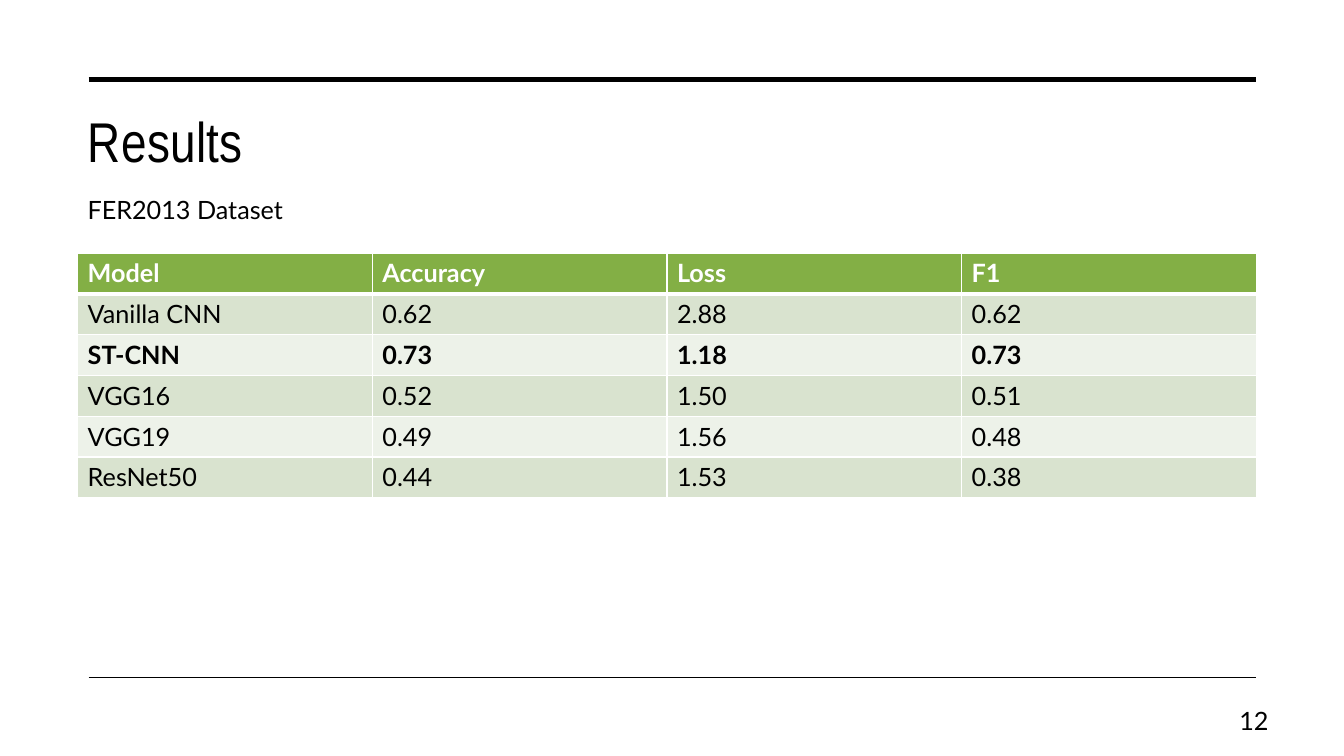
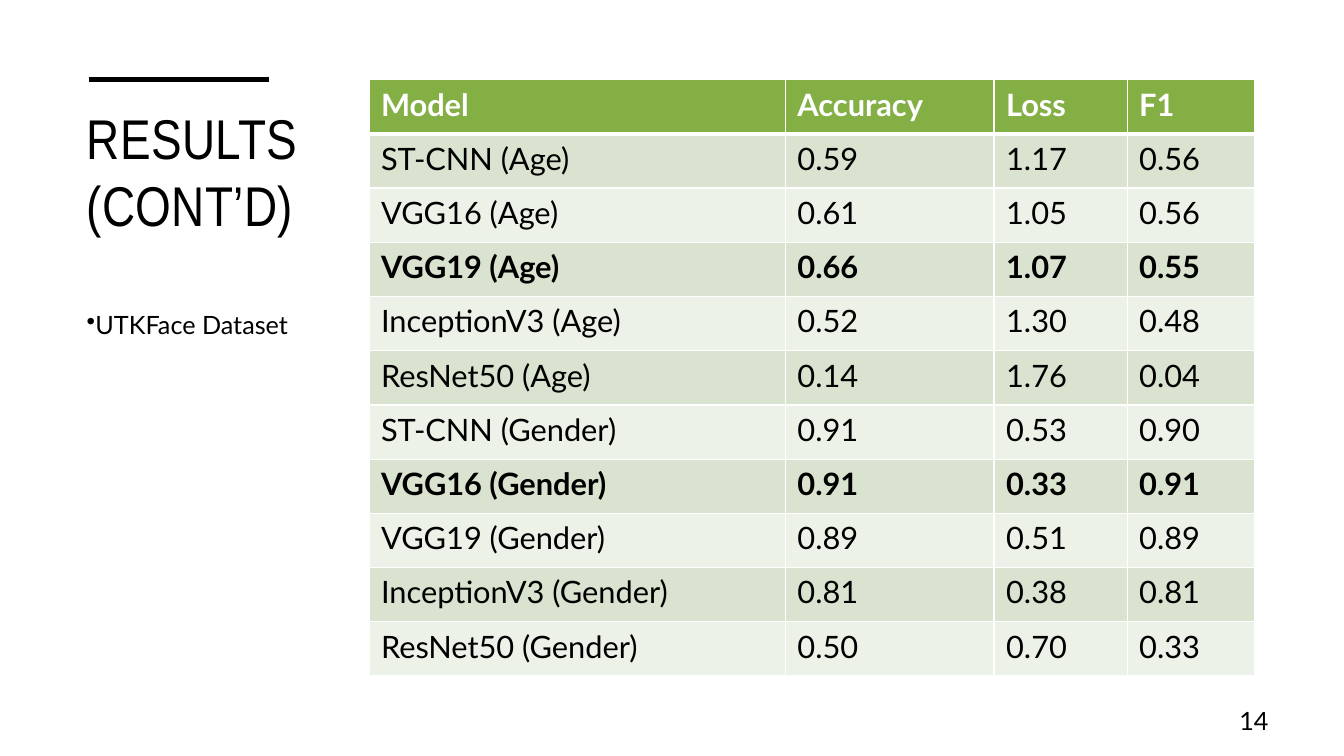
"""Build two slides of model results, one for each dataset."""
from dataclasses import dataclass

from lxml import etree
from pptx import Presentation
from pptx.dml.color import RGBColor
from pptx.enum.shapes import MSO_CONNECTOR
from pptx.enum.text import MSO_ANCHOR, MSO_AUTO_SIZE, PP_ALIGN
from pptx.oxml.ns import qn
from pptx.util import Inches, Pt

STRAIGHT = MSO_CONNECTOR.STRAIGHT
TOP, MIDDLE = MSO_ANCHOR.TOP, MSO_ANCHOR.MIDDLE
LEFT, RIGHT = PP_ALIGN.LEFT, PP_ALIGN.RIGHT
NO_AUTOFIT = MSO_AUTO_SIZE.NONE
TITLE_ONLY = 5


@dataclass(frozen=True)
class Theme:
    ink: RGBColor = RGBColor(0x00, 0x00, 0x00)
    paper: RGBColor = RGBColor(0xFF, 0xFF, 0xFF)
    header: RGBColor = RGBColor(0x83, 0xAF, 0x45)
    bands: tuple = (RGBColor(0xD9, 0xE3, 0xCF), RGBColor(0xED, 0xF2, 0xE9))
    title_font: str = "Arial Narrow"
    body_font: str = "Lato"
    title_size: float = 40
    body_size: float = 18
    large_size: float = 22
    title_tracking: float = 0.3
    thick_rule: float = 3.5
    thin_rule: float = 1
    header_border: float = 3
    cell_border: float = 1


@dataclass(frozen=True)
class Box:
    left: float
    top: float
    width: float
    height: float

    def emu(self) -> tuple:
        return tuple(Inches(v) for v in (self.left, self.top, self.width, self.height))


@dataclass(frozen=True)
class Rule:
    right: float
    y: float
    weight: float


@dataclass(frozen=True)
class ResultsTable:
    box: Box
    columns: tuple
    size: float
    margins: tuple
    rows: tuple
    best: tuple


@dataclass(frozen=True)
class ResultsSlide:
    title: str
    title_box: Box
    dataset: str
    dataset_box: Box
    bulleted: bool
    rules: tuple
    results: ResultsTable
    number: str


THEME = Theme()
RULE_LEFT = 0.88
NUMBER_BOX = Box(11.94, 6.95, 0.74, 0.4)
HEADINGS = ("Model", "Accuracy", "Loss", "F1")

SLIDES = (
    ResultsSlide(
        title="Results",
        title_box=Box(0.77, 1.01, 11.69, 1.5),
        dataset="FER2013 Dataset",
        dataset_box=Box(0.77, 1.88, 5.01, 0.4),
        bulleted=False,
        rules=(Rule(12.46, 0.79, THEME.thick_rule), Rule(12.46, 6.72, THEME.thin_rule)),
        results=ResultsTable(
            box=Box(0.77, 2.51, 11.69, 2.43),
            columns=(1, 1, 1, 1),
            size=THEME.body_size,
            margins=(0.1, 0.05),
            rows=(
                ("Vanilla CNN", "0.62", "2.88", "0.62"),
                ("ST-CNN", "0.73", "1.18", "0.73"),
                ("VGG16", "0.52", "1.50", "0.51"),
                ("VGG19", "0.49", "1.56", "0.48"),
                ("ResNet50", "0.44", "1.53", "0.38"),
            ),
            best=("ST-CNN",),
        ),
        number="12",
    ),
    ResultsSlide(
        title="RESULTS (CONT’D)",
        title_box=Box(0.76, 0.98, 3.98, 1.72),
        dataset="UTKFace Dataset",
        dataset_box=Box(0.76, 2.96, 3.92, 3.83),
        bulleted=True,
        rules=(Rule(2.67, 0.79, THEME.thick_rule),),
        results=ResultsTable(
            box=Box(3.66, 0.79, 8.78, 5.92),
            columns=(4.13, 2.07, 1.32, 1.26),
            size=THEME.large_size,
            margins=(0.12, 0.06),
            rows=(
                ("ST-CNN (Age)", "0.59", "1.17", "0.56"),
                ("VGG16 (Age)", "0.61", "1.05", "0.56"),
                ("VGG19 (Age)", "0.66", "1.07", "0.55"),
                ("InceptionV3 (Age)", "0.52", "1.30", "0.48"),
                ("ResNet50 (Age)", "0.14", "1.76", "0.04"),
                ("ST-CNN (Gender)", "0.91", "0.53", "0.90"),
                ("VGG16 (Gender)", "0.91", "0.33", "0.91"),
                ("VGG19 (Gender)", "0.89", "0.51", "0.89"),
                ("InceptionV3 (Gender)", "0.81", "0.38", "0.81"),
                ("ResNet50 (Gender)", "0.50", "0.70", "0.33"),
            ),
            best=("VGG19 (Age)", "VGG16 (Gender)"),
        ),
        number="14",
    ),
)


def style(paragraph, size: float, font: str = THEME.body_font,
          color: RGBColor = THEME.ink, bold: bool = False, align=LEFT) -> None:
    paragraph.alignment = align
    paragraph.font.name = font
    paragraph.font.size = Pt(size)
    paragraph.font.bold = bold
    paragraph.font.color.rgb = color


def set_title(slide, text: str, box: Box) -> None:
    title = slide.shapes.title
    title.left, title.top, title.width, title.height = box.emu()
    frame = title.text_frame
    frame.text = text
    frame.word_wrap = True
    frame.auto_size = NO_AUTOFIT
    frame.vertical_anchor = TOP
    heading = frame.paragraphs[0]
    style(heading, THEME.title_size, THEME.title_font)
    tracking = str(round(THEME.title_tracking * 100))
    heading.runs[0].font._element.set("spc", tracking)


def add_text(slide, text: str, box: Box, align=LEFT, anchor=TOP):
    frame = slide.shapes.add_textbox(*box.emu()).text_frame
    frame.word_wrap = True
    frame.vertical_anchor = anchor
    frame.text = text
    paragraph = frame.paragraphs[0]
    style(paragraph, THEME.body_size, align=align)
    return paragraph


def add_bullet(paragraph) -> None:
    paragraph.line_spacing = 1.2
    paragraph.space_after = Pt(6)
    properties = paragraph._p.get_or_add_pPr()
    properties.set("marL", "0")
    properties.set("indent", str(-Inches(0.25)))
    bullet = etree.Element(qn("a:buChar"), char="•")
    properties.find(qn("a:defRPr")).addprevious(bullet)


def add_rule(slide, rule: Rule) -> None:
    line = slide.shapes.add_connector(
        STRAIGHT, Inches(RULE_LEFT), Inches(rule.y), Inches(rule.right), Inches(rule.y))
    line.line.color.rgb = THEME.ink
    line.line.width = Pt(rule.weight)
    etree.SubElement(line._element.spPr, qn("a:effectLst"))


def set_borders(cell, top: float, bottom: float) -> None:
    properties = cell._tc.get_or_add_tcPr()
    weights = {"lnL": THEME.cell_border, "lnR": THEME.cell_border, "lnT": top, "lnB": bottom}
    for side, weight in weights.items():
        border = etree.SubElement(properties, qn(f"a:{side}"), w=str(Pt(weight)))
        fill = etree.SubElement(border, qn("a:solidFill"))
        etree.SubElement(fill, qn("a:srgbClr"), val=str(THEME.paper))


def fill_cell(cell, text: str, row: int, bold: bool, results: ResultsTable) -> None:
    is_header = row == 0
    set_borders(cell,
                top=THEME.header_border if row == 1 else THEME.cell_border,
                bottom=THEME.header_border if is_header else THEME.cell_border)
    cell.fill.solid()
    cell.fill.fore_color.rgb = THEME.header if is_header else THEME.bands[(row - 1) % 2]
    side, edge = (Inches(margin) for margin in results.margins)
    cell.margin_left = cell.margin_right = side
    cell.margin_top = cell.margin_bottom = edge
    cell.text = text
    style(cell.text_frame.paragraphs[0], results.size,
          color=THEME.paper if is_header else THEME.ink, bold=bold)


def add_results(slide, results: ResultsTable) -> None:
    lines = (HEADINGS, *results.rows)
    table = slide.shapes.add_table(len(lines), len(HEADINGS), *results.box.emu()).table
    table.horz_banding = False
    for column, share in zip(table.columns, results.columns):
        column.width = Inches(results.box.width * share / sum(results.columns))
    for row, line in enumerate(lines):
        table.rows[row].height = Inches(results.box.height / len(lines))
        bold = row == 0 or line[0] in results.best
        for column, text in enumerate(line):
            fill_cell(table.cell(row, column), text, row, bold, results)


def build_slide(deck, content: ResultsSlide) -> None:
    slide = deck.slides.add_slide(deck.slide_layouts[TITLE_ONLY])
    for rule in content.rules:
        add_rule(slide, rule)
    set_title(slide, content.title, content.title_box)
    dataset = add_text(slide, content.dataset, content.dataset_box)
    if content.bulleted:
        add_bullet(dataset)
    add_results(slide, content.results)
    add_text(slide, content.number, NUMBER_BOX, RIGHT, MIDDLE)


def main() -> None:
    deck = Presentation()
    deck.slide_width, deck.slide_height = Inches(13.33), Inches(7.5)
    for content in SLIDES:
        build_slide(deck, content)
    deck.save("out.pptx")


if __name__ == "__main__":
    main()
